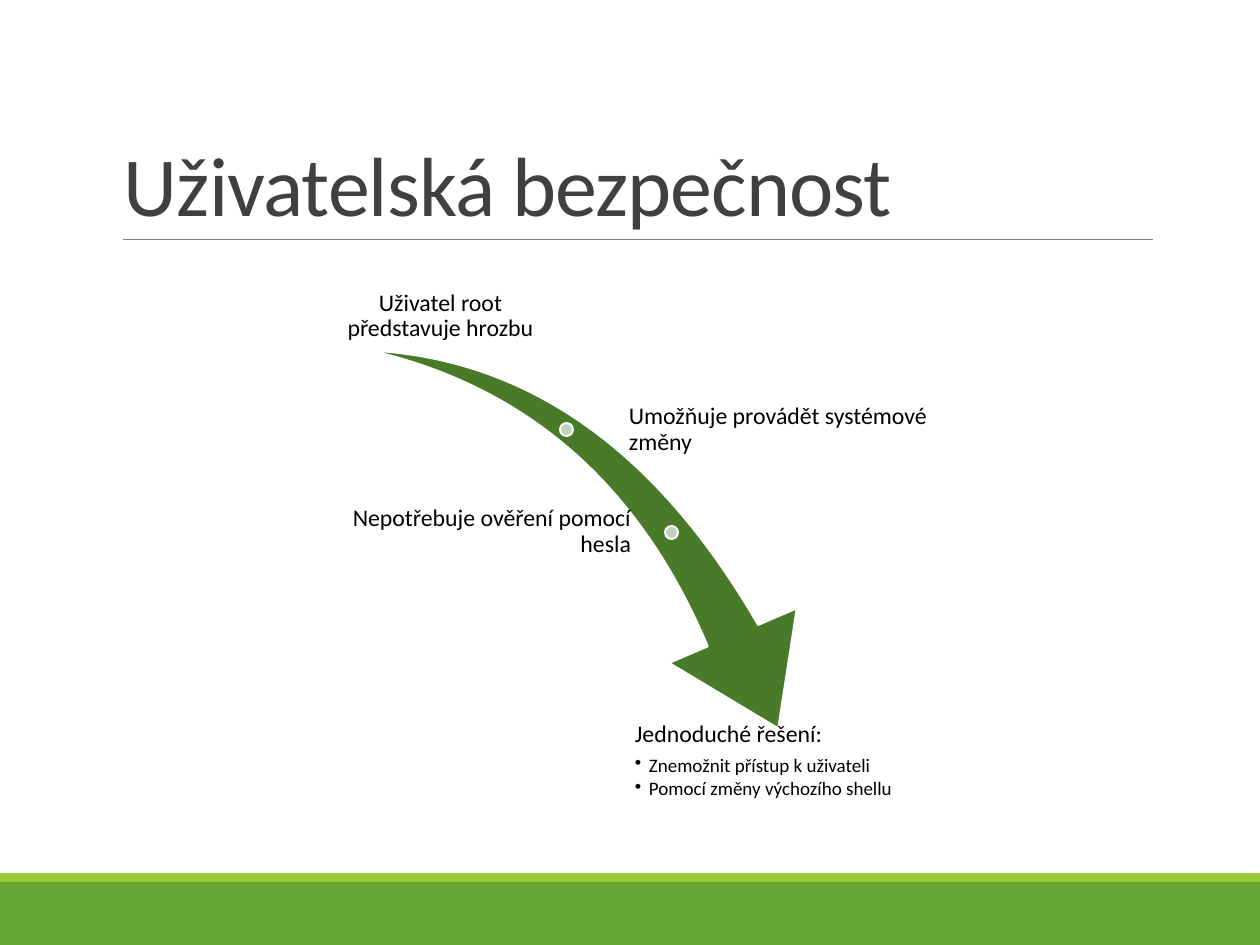
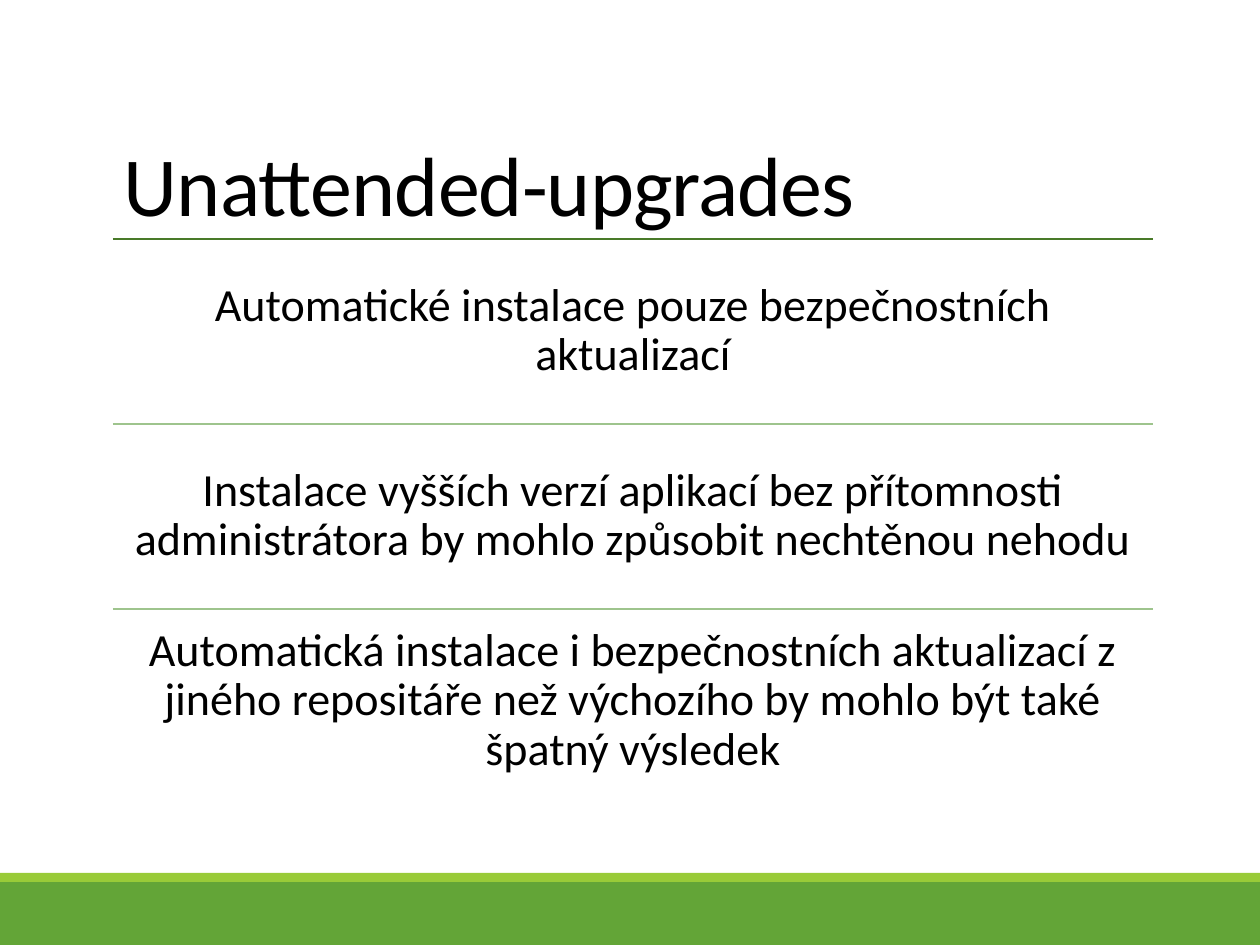
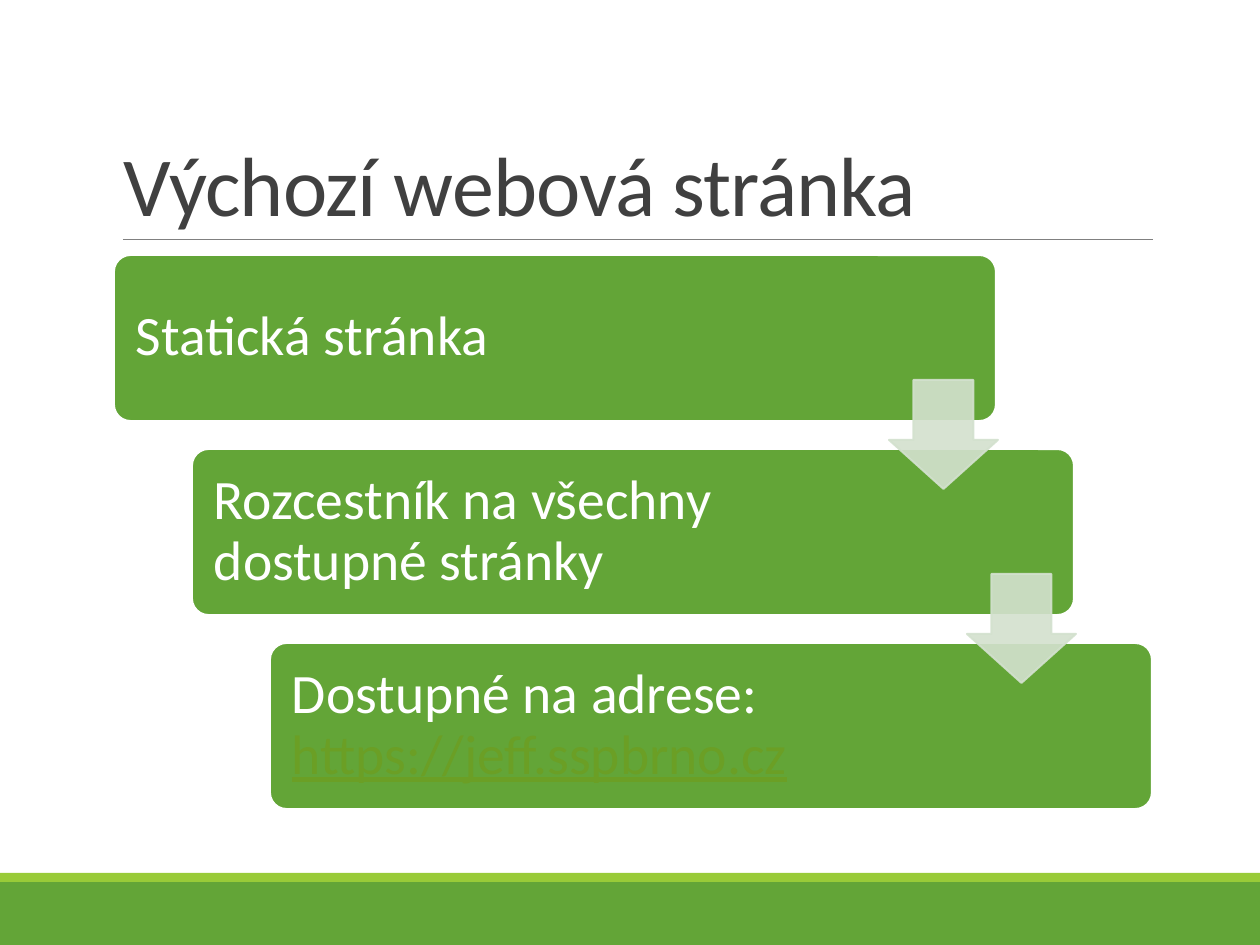
from dataclasses import dataclass

from lxml import etree
from pptx import Presentation
from pptx import util as u
from pptx.dml import color
from pptx.enum import shapes, text
from pptx.oxml import ns

KIND = shapes.MSO_SHAPE
SIDE = text.PP_ALIGN
EDGE = text.MSO_ANCHOR


@dataclass(frozen=True)
class Theme:
    face: str = "Calibri"
    green: str = "63A537"
    lime: str = "99CB38"
    dark: str = "497A29"
    soft: str = "9EC48D"
    pale: str = "BFD4B7"
    mist: str = "D3E1CE"
    link: str = "6B9F25"
    gray: str = "808080"
    ink: str = "404040"
    black: str = "000000"
    white: str = "FFFFFF"
    head: float = 52.9
    step: int = 35
    body: int = 29
    label: int = 15
    item: int = 12
    hair: float = 0.5
    edge: float = 1.25


class Deck:
    scale = 8000

    def __init__(self, theme):
        self.theme = theme
        self.show = Presentation()
        self.show.slide_width = self.px(1260)
        self.show.slide_height = self.px(945)
        self.slide = None

    def px(self, size):
        return u.Emu(size * self.scale)

    def box(self, *dims):
        return [self.px(dim) for dim in dims]

    def rgb(self, code):
        return color.RGBColor.from_string(code)

    def page(self, title, tone=None):
        look = self.theme
        self.slide = self.show.slides.add_slide(self.show.slide_layouts[5])
        self.shape(KIND.RECTANGLE, (0, 882, 1260, 63), look.green)
        self.shape(KIND.RECTANGLE, (0, 873, 1260, 9), look.lime)
        self.line(123, 1153, 239, look.gray, look.hair)
        head = self.slide.shapes.title
        head.left, head.top, head.width, head.height = self.box(113, 40, 1040, 200)
        frame = head.text_frame
        self.setup(frame, EDGE.BOTTOM, (11, 6, 11, 6))
        frame.text = title
        self.style(frame.paragraphs[0], look.head, tone or look.ink, space=0.85)
        for props in head.element.iter(ns.qn("a:rPr")):
            props.set("spc", "-60")

    def setup(self, frame, anchor, pads):
        frame.word_wrap = True
        frame.auto_size = text.MSO_AUTO_SIZE.NONE
        frame.vertical_anchor = anchor
        (frame.margin_left, frame.margin_top,
         frame.margin_right, frame.margin_bottom) = self.box(*pads)

    def style(self, para, size, tone, side=SIDE.LEFT, space=0.9, after=0.35):
        para.alignment = side
        para.line_spacing = space
        para.space_before = u.Pt(0)
        para.space_after = u.Pt(round(size * after, 2))
        for run in para.runs:
            run.font.name = self.theme.face
            run.font.size = u.Pt(size)
            run.font.color.rgb = self.rgb(tone)

    def shape(self, kind, dims, fill, edge=None, adjust=(), turn=0, alpha=None):
        item = self.slide.shapes.add_shape(kind, *self.box(*dims))
        item.shadow.inherit = False
        item.rotation = turn
        for spot, value in enumerate(adjust):
            item.adjustments[spot] = value
        item.fill.solid()
        item.fill.fore_color.rgb = self.rgb(fill)
        if edge:
            item.line.color.rgb = self.rgb(edge)
            item.line.width = u.Pt(self.theme.edge)
        else:
            item.line.fill.background()
        if alpha:
            for tint in item.element.spPr.iter(ns.qn("a:srgbClr")):
                etree.SubElement(tint, ns.qn("a:alpha")).set("val", str(alpha * 1000))
        return item

    def line(self, left, right, top, tone, width):
        rule = self.slide.shapes.add_connector(
            shapes.MSO_CONNECTOR.STRAIGHT, *self.box(left, top, right, top))
        rule.line.color.rgb = self.rgb(tone)
        rule.line.width = u.Pt(width)
        etree.SubElement(rule.element.spPr, ns.qn("a:effectLst"))

    def label(self, words, dims, size, side=SIDE.LEFT, anchor=EDGE.MIDDLE, pad=2):
        frame = self.slide.shapes.add_textbox(*self.box(*dims)).text_frame
        self.setup(frame, anchor, [pad] * 4)
        frame.text = words
        self.style(frame.paragraphs[0], size, self.theme.black, side)
        return frame

    def bullet(self, frame, words):
        para = frame.add_paragraph()
        para.text = words
        para.level = 1
        props = para._p.get_or_add_pPr()
        props.set("marL", str(self.px(14)))
        props.set("indent", str(self.px(-14)))
        etree.SubElement(props, ns.qn("a:buChar")).set("char", "•")
        self.style(para, self.theme.item, self.theme.black, after=0.15)

    def step(self, words, left, top, link=None):
        look = self.theme
        card = self.shape(KIND.ROUNDED_RECTANGLE, (left, top, 882, 166),
                          look.green, look.white, [0.1])
        frame = card.text_frame
        self.setup(frame, EDGE.MIDDLE, (17, 17, 203, 17))
        frame.text = words
        para = frame.paragraphs[0]
        if link:
            para.add_run().text = link
        self.style(para, look.step, look.white)
        if link:
            font = para.runs[-1].font
            font.color.rgb = self.rgb(look.link)
            font.underline = True


def users(deck):
    look = deck.theme
    deck.page("Uživatelská bezpečnost")
    deck.shape(KIND.SWOOSH_ARROW, (360, 365, 479, 334), look.dark, look.white,
               [0.163, 0.314], 73.3)
    for left, top in ((560, 423), (665, 526)):
        deck.shape(KIND.OVAL, (left, top, 13, 13), look.pale, look.white)
    deck.label("Uživatel root představuje hrozbu", (328, 255, 225, 89),
               look.label, SIDE.CENTER, EDGE.BOTTOM)
    deck.label("Umožňuje provádět systémové změny", (627, 385, 311, 89), look.label)
    deck.label("Nepotřebuje ověření pomocí hesla", (328, 487, 305, 89),
               look.label, SIDE.RIGHT)
    frame = deck.label("Jednoduché řešení:", (633, 720, 305, 89),
                       look.label, anchor=EDGE.TOP)
    for words in ("Znemožnit přístup k uživateli", "Pomocí změny výchozího shellu"):
        deck.bullet(frame, words)


def upgrades(deck):
    look = deck.theme
    deck.page("Unattended-upgrades", look.black)
    rows = (
        ("Automatické instalace pouze bezpečnostních aktualizací", look.dark),
        ("Instalace vyšších verzí aplikací bez přítomnosti administrátora "
         "by mohlo způsobit nechtěnou nehodu", look.soft),
        ("Automatická instalace i bezpečnostních aktualizací z jiného repositáře "
         "než výchozího by mohlo být také špatný výsledek", look.soft),
    )
    for row, (words, tone) in enumerate(rows):
        top = 239 + 185 * row
        deck.line(113, 1153, top, tone, look.edge)
        deck.label(words, (113, top, 1040, 184), look.body, SIDE.CENTER, pad=14)


def website(deck):
    look = deck.theme
    deck.page("Výchozí webová stránka")
    steps = (
        ("Statická stránka", None),
        ("Rozcestník na všechny dostupné stránky", None),
        ("Dostupné na adrese: ", "https://jeff.sspbrno.cz"),
    )
    for row, (words, link) in enumerate(steps):
        deck.step(words, 114 + 78 * row, 255 + 194 * row, link)
    for row in range(len(steps) - 1):
        deck.shape(KIND.DOWN_ARROW, (889 + 78 * row, 380 + 194 * row, 109, 109),
                   look.mist, look.mist, [0.55, 0.45], alpha=90)


def main():
    deck = Deck(Theme())
    for build in (users, upgrades, website):
        build(deck)
    deck.show.save("out.pptx")


if __name__ == "__main__":
    main()
